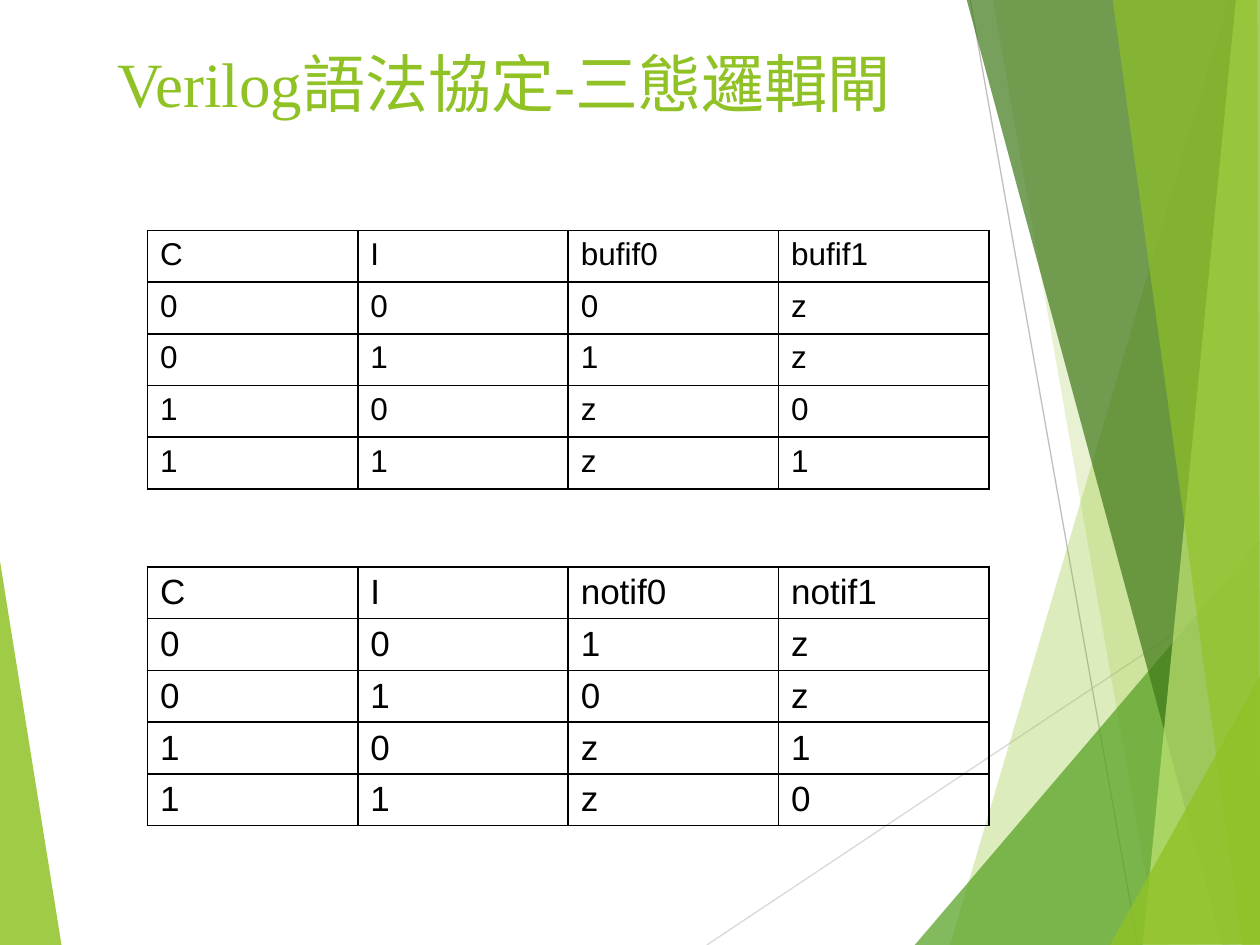
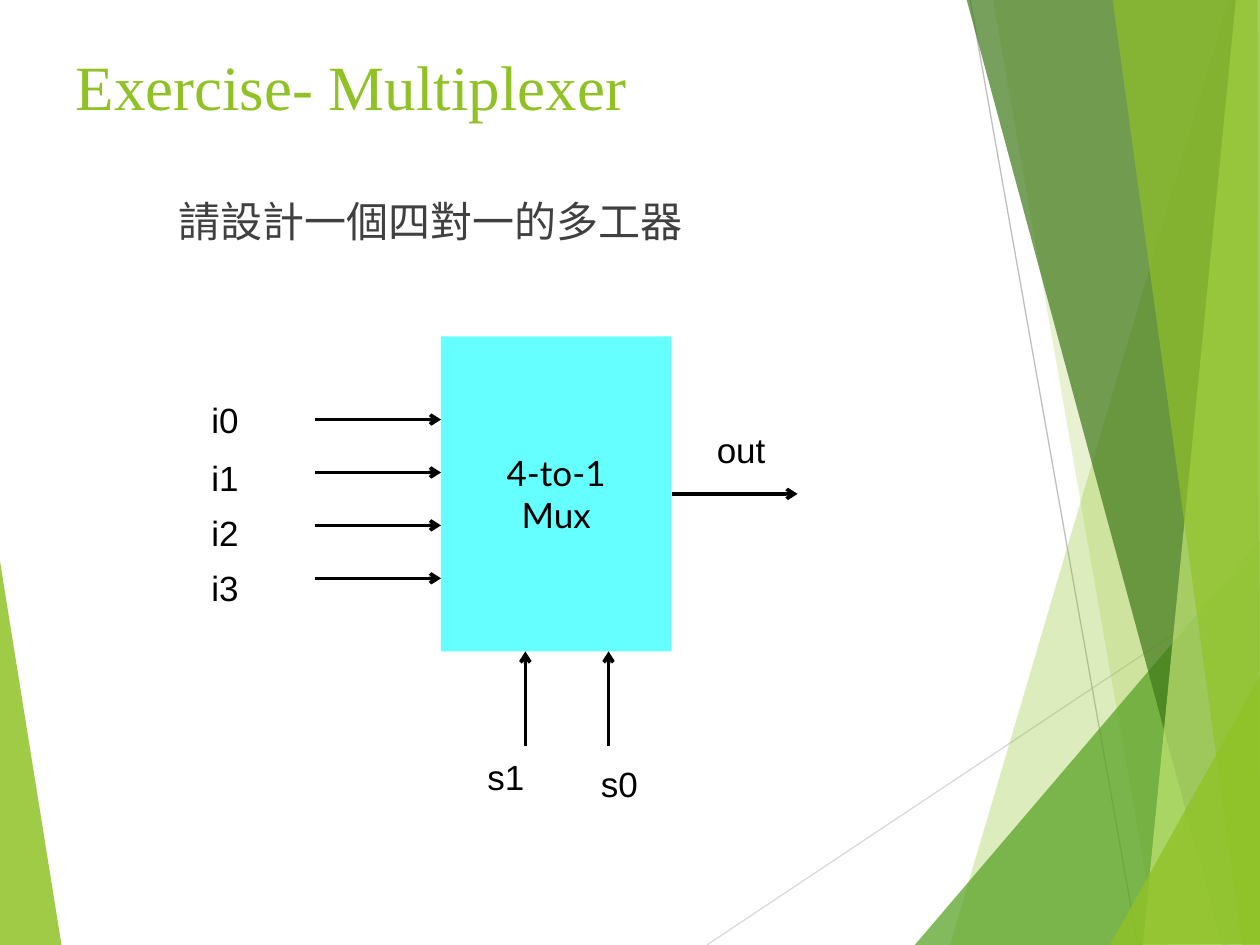
from lxml import etree
from pptx import Presentation
from pptx.dml.color import RGBColor
from pptx.enum.shapes import MSO_CONNECTOR, MSO_SHAPE
from pptx.enum.text import MSO_ANCHOR, MSO_AUTO_SIZE, PP_ALIGN
from pptx.oxml.ns import qn
from pptx.util import Inches, Pt

STRAIGHT = MSO_CONNECTOR.STRAIGHT
RECTANGLE = MSO_SHAPE.RECTANGLE
LEFT, CENTER = PP_ALIGN.LEFT, PP_ALIGN.CENTER
TOP, MIDDLE = MSO_ANCHOR.TOP, MSO_ANCHOR.MIDDLE
NO_AUTOFIT = MSO_AUTO_SIZE.NONE

COLORS = {
    "lime": "90C226",
    "green": "54A021",
    "forest": "3F7819",
    "pale": "C0E474",
    "light_gray": "D9D9D9",
    "gray": "BFBFBF",
    "body": "404040",
    "black": "000000",
    "cyan": "66FFFF",
}
SERIF, SANS, BOX_FONT = "Times New Roman", "Arial", "Lato"

# Decoration, back to front: start, end, colour / corners, colour, opacity %
LEFT_FACET = ([(-0.01, 4.39), (0.49, 7.51), (-0.01, 7.5)], "lime", 85)
RAYS = [
    ((5.61, 7.5), (10.01, 4.57), "light_gray"),
    ((7.7, 0), (9.03, 7.5), "gray"),
]
RIGHT_FACETS = [
    ([(9.75, 0), (7.54, 7.5), (10.02, 7.51), (10.01, 0.01)], "lime", 30),
    ([(7.88, -0.01), (9.19, 7.5), (10.01, 7.5), (10.01, -0.01)], "lime", 20),
    ([(7.26, 7.5), (10, 4.29), (10.01, 7.5)], "green", 72),
    ([(7.67, -0.01), (9.7, 7.5), (10.01, 7.49), (10.01, -0.01)], "forest", 70),
    ([(9.81, -0.01), (9.07, 7.5), (10.01, 7.5), (10, -0.01)], "pale", 70),
    ([(8.83, -0.01), (9.86, 7.5), (10, 7.5), (9.98, -0.01)], "lime", 65),
    ([(8.81, 7.5), (10.01, 5.35), (10.01, 7.49)], "lime", 80),
]

GATES_TITLE = "Verilog語法協定-三態邏輯閘"
TRUTH_TABLES = [
    {"top": 1.83, "size": 18, "rows": [
        ("C", "I", "bufif0", "bufif1"),
        ("0", "0", "0", "z"),
        ("0", "1", "1", "z"),
        ("1", "0", "z", "0"),
        ("1", "1", "z", "1"),
    ]},
    {"top": 4.5, "size": 20, "rows": [
        ("C", "I", "notif0", "notif1"),
        ("0", "0", "1", "z"),
        ("0", "1", "0", "z"),
        ("1", "0", "z", "1"),
        ("1", "1", "z", "0"),
    ]},
]
TABLE_LEFT, COLUMN_WIDTH, ROW_HEIGHT = 1.17, 1.67, 0.41

MUX_TITLE = "Exercise- Multiplexer"
MUX_TASK = "請設計一個四對一的多工器"
MUX_LABEL = "4-to-1\nMux"
MUX_BOX = (3.5, 2.67, 1.83, 2.5)
INPUT_LABELS = [("i0", 3.11), ("i1", 3.57), ("i2", 4.01), ("i3", 4.45)]
SELECT_LABELS = [("s1", 3.77, 5.95), ("s0", 4.67, 6)]
OUTPUT_LABEL = ("out", 5.59, 3.35)
INPUT_TOP, INPUT_STEP, WIRE_LENGTH = 3.33, 0.42, 1
SELECT_LEFT, SELECT_STEP, SELECT_LENGTH = 4.17, 0.66, 0.75
OUTPUT_Y = 3.92


def rgb(name):
    return RGBColor.from_string(COLORS[name])


def inches(values):
    return [Inches(value) for value in values]


def format_text(text_frame, font, size, color, alignment=LEFT):
    for paragraph in text_frame.paragraphs:
        paragraph.alignment = alignment
        for run in paragraph.runs:
            run.font.name = font
            run.font.size = Pt(size)
            run.font.color.rgb = rgb(color)


def add_facet(slide, corners, color, opacity):
    """Draw a translucent polygon."""
    points = [inches(corner) for corner in corners]
    builder = slide.shapes.build_freeform(*points[0])
    builder.add_line_segments(points[1:], close=True)
    facet = builder.convert_to_shape()
    facet.shadow.inherit = False
    facet.fill.solid()
    facet.fill.fore_color.rgb = rgb(color)
    facet.line.fill.background()
    color_element = facet.element.spPr.find(qn("a:solidFill")).find(qn("a:srgbClr"))
    etree.SubElement(color_element, qn("a:alpha"), val=str(opacity * 1000))
    return facet


def add_line(slide, start, end, color, width, arrow=False):
    line = slide.shapes.add_connector(STRAIGHT, *inches(start + end))
    line.line.color.rgb = rgb(color)
    line.line.width = Pt(width)
    properties = line.element.spPr
    if arrow:
        etree.SubElement(properties.find(qn("a:ln")), qn("a:tailEnd"), type="arrow")
    etree.SubElement(properties, qn("a:effectLst"))
    return line


def decorate_master(presentation, slide):
    """Draw the shared decoration on a slide, then move it behind the master's text."""
    decoration = [add_facet(slide, *LEFT_FACET)]
    decoration += [add_line(slide, *ray, 0.75) for ray in RAYS]
    decoration += [add_facet(slide, *facet) for facet in RIGHT_FACETS]
    master_tree = presentation.slide_master.shapes.element
    for position, shape in enumerate(decoration, start=2):
        master_tree.insert(position, shape.element)


def fill_placeholder(placeholder, text, box, size, color):
    placeholder.left, placeholder.top, placeholder.width, placeholder.height = inches(box)
    text_frame = placeholder.text_frame
    text_frame.text = text
    text_frame.auto_size = NO_AUTOFIT
    text_frame.vertical_anchor = TOP
    format_text(text_frame, SERIF, size, color)


def set_title(slide, text, box):
    fill_placeholder(slide.shapes.title, text, box, 36, "lime")


def add_cell_borders(cell):
    properties = cell._tc.get_or_add_tcPr()
    for position, side in enumerate(("a:lnL", "a:lnR", "a:lnT", "a:lnB")):
        border = etree.Element(qn(side), w=str(Pt(1)))
        fill = etree.SubElement(border, qn("a:solidFill"))
        etree.SubElement(fill, qn("a:srgbClr"), val=COLORS["black"])
        properties.insert(position, border)


def add_truth_table(slide, top, size, rows):
    row_count, column_count = len(rows), len(rows[0])
    box = (TABLE_LEFT, top, COLUMN_WIDTH * column_count, ROW_HEIGHT * row_count)
    table = slide.shapes.add_table(row_count, column_count, *inches(box)).table
    table.first_row = False
    table.horz_banding = False
    for row_index, row in enumerate(rows):
        for column_index, value in enumerate(row):
            cell = table.cell(row_index, column_index)
            cell.text = value
            cell.fill.background()
            format_text(cell.text_frame, SANS, size, "black")
            add_cell_borders(cell)


def add_label(slide, text, left, top):
    label = slide.shapes.add_textbox(*inches((left, top, 0.92, 0.44)))
    label.text_frame.word_wrap = True
    label.text_frame.text = text
    format_text(label.text_frame, SANS, 20, "black")


def add_wire(slide, start, end):
    add_line(slide, start, end, "black", 2, arrow=True)


def add_task(slide):
    body = slide.placeholders[1]
    fill_placeholder(body, MUX_TASK, (0.92, 1.5, 8.25, 0.67), 24, "body")
    paragraph = body.text_frame.paragraphs[0]
    paragraph.level = 1
    paragraph.space_before = Pt(10)
    properties = paragraph._p.get_or_add_pPr()
    properties.set("marL", str(Inches(0.4)))
    properties.set("indent", "0")
    etree.SubElement(properties, qn("a:buNone"))


def add_multiplexer(slide):
    left, top, width, height = MUX_BOX
    right, bottom = left + width, top + height
    box = slide.shapes.add_shape(RECTANGLE, *inches(MUX_BOX))
    box.shadow.inherit = False
    box.fill.solid()
    box.fill.fore_color.rgb = rgb("cyan")
    box.line.fill.background()
    box.text_frame.text = MUX_LABEL
    box.text_frame.vertical_anchor = MIDDLE
    format_text(box.text_frame, BOX_FONT, 20, "black", CENTER)

    for index, (name, label_top) in enumerate(INPUT_LABELS):
        y = INPUT_TOP + index * INPUT_STEP
        add_wire(slide, (left - WIRE_LENGTH, y), (left, y))
        add_label(slide, name, 1.58, label_top)
    for index, label in enumerate(SELECT_LABELS):
        x = SELECT_LEFT + index * SELECT_STEP
        add_wire(slide, (x, bottom + SELECT_LENGTH), (x, bottom))
        add_label(slide, *label)
    add_wire(slide, (right, OUTPUT_Y), (right + WIRE_LENGTH, OUTPUT_Y))
    add_label(slide, *OUTPUT_LABEL)


def main():
    presentation = Presentation()
    presentation.slide_width = Inches(10)
    presentation.slide_height = Inches(7.5)
    content_layout, title_layout = (presentation.slide_layouts[i] for i in (1, 5))

    gates_slide = presentation.slides.add_slide(title_layout)
    decorate_master(presentation, gates_slide)
    set_title(gates_slide, GATES_TITLE, (0.83, 0.3, 8.17, 0.88))
    for truth_table in TRUTH_TABLES:
        add_truth_table(gates_slide, **truth_table)

    mux_slide = presentation.slides.add_slide(content_layout)
    set_title(mux_slide, MUX_TITLE, (0.5, 0.33, 8.17, 1.05))
    add_task(mux_slide)
    add_multiplexer(mux_slide)

    presentation.save("out.pptx")


if __name__ == "__main__":
    main()
